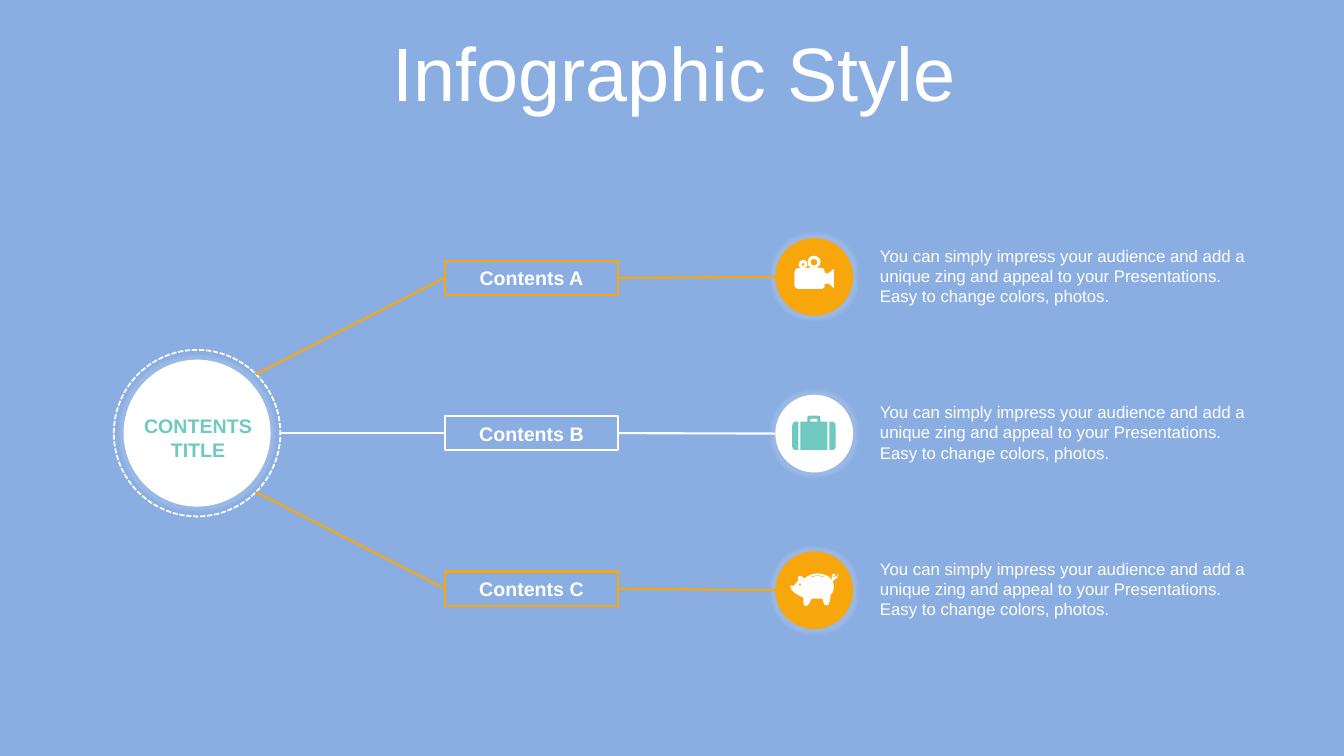
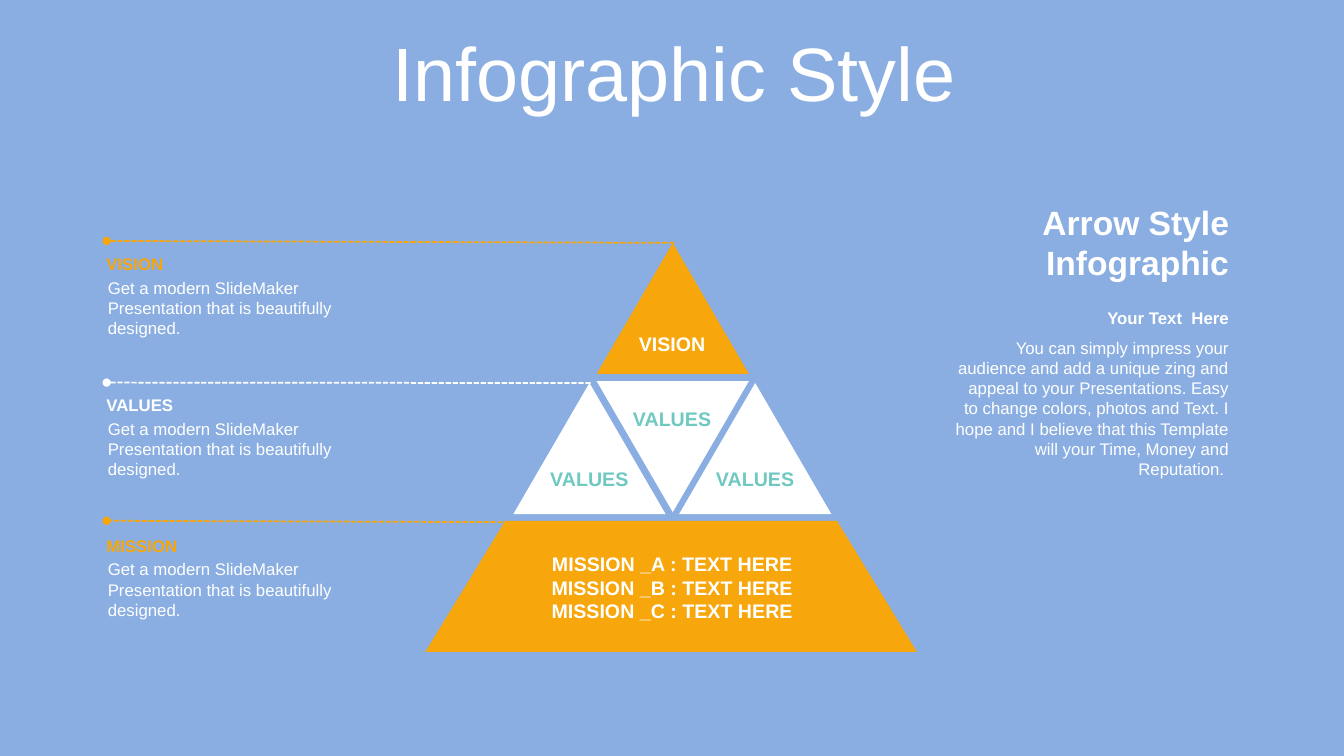
"""Build two infographic slides: a contents tree and a mission pyramid."""
from lxml import etree
from pptx import Presentation
from pptx import util as u
from pptx.dml.color import RGBColor
from pptx.enum import dml, shapes, text
from pptx.oxml import ns

COLORS = {"sky": "8AAEE2", "white": "FFFFFF", "amber": "F7A60B", "teal": "6FC9C1"}
FONT = "Arial"
LEFT, CENTER, RIGHT = text.PP_ALIGN.LEFT, text.PP_ALIGN.CENTER, text.PP_ALIGN.RIGHT
OVAL = shapes.MSO_SHAPE.OVAL
TRIANGLE = shapes.MSO_SHAPE.ISOSCELES_TRIANGLE
ICON_UNIT = 0.72

CAMERA = (
    "M 9 7 C 8 7 7 8 7 9 C 7 10 8 10 9 10 C 9 10 10 10 10 9 C 10 8 9 7 9 7 "
    "M 19 3 C 17 3 16 5 16 6 C 16 8 17 10 19 10 C 21 10 23 8 23 6 C 23 5 21 3 19 3 "
    "M 19 0 C 23 0 26 3 26 6 C 26 9 24 11 22 12 L 27 12 C 29 12 30 14 30 16 L 30 17 "
    "L 32 17 C 32 17 33 18 33 18 L 39 13 L 39 32 L 33 27 C 33 28 32 28 32 28 L 30 28 "
    "L 30 30 C 30 31 29 33 27 33 L 4 33 C 2 33 0 31 0 30 L 0 16 C 0 14 2 12 4 12 "
    "L 7 12 C 5 12 4 10 4 9 C 4 6 6 4 9 4 C 11 4 13 6 13 9 C 13 10 12 12 10 12 "
    "L 16 12 C 14 11 13 9 13 6 C 13 3 16 0 19 0"
)
SUITCASE = (
    "M 37 6 L 40 6 C 42 6 43 8 43 10 L 43 31 C 43 33 42 34 40 34 L 37 34 "
    "M 3 6 L 6 6 L 6 34 L 3 34 C 1 34 0 33 0 31 L 0 10 C 0 8 1 6 3 6 "
    "M 19 3 C 18 3 18 3 18 4 L 18 6 L 25 6 L 25 4 C 25 3 25 3 24 3 "
    "M 17 0 L 26 0 C 27 0 28 1 28 2 L 28 6 L 35 6 L 35 34 L 8 34 L 8 6 L 15 6 "
    "L 15 2 C 15 1 16 0 17 0"
)
PIG = (
    "M 9 10 C 9 10 8 10 8 11 C 8 12 9 12 9 12 C 10 12 11 12 11 11 C 11 10 10 10 9 10 "
    "M 43 2 C 42 2 42 3 42 3 C 42 4 42 4 43 4 C 43 4 44 4 44 3 C 44 3 43 2 43 2 "
    "M 27 2 C 25 2 23 2 21 3 L 21 4 C 25 2 29 2 33 4 L 33 3 C 31 2 29 2 27 2 "
    "M 27 0 C 32 0 38 2 40 5 L 41 6 C 41 6 41 6 42 5 C 41 5 41 4 41 3 C 41 2 42 1 43 0 "
    "C 44 0 45 2 45 3 C 45 4 45 4 45 4 C 45 4 46 4 47 0 C 48 4 46 6 44 6 "
    "C 43 7 43 7 42 8 C 42 8 42 8 42 8 L 43 11 C 44 15 42 20 40 21 C 40 26 39 28 38 31 "
    "C 37 32 34 32 34 31 C 33 29 32 27 32 25 C 28 25 24 25 21 25 C 20 28 19 30 17 32 "
    "L 14 32 C 13 32 13 27 13 24 C 9 22 0 19 0 12 C 0 12 3 12 4 12 C 5 10 6 9 8 7 "
    "C 8 5 7 3 8 3 C 11 1 12 4 14 5 C 17 2 23 0 27 0"
)


def rgb(name):
    """Return the named colour."""
    return RGBColor.from_string(COLORS[name])


def points(*values):
    """Convert point values to lengths."""
    return [u.Pt(value) for value in values]


def write(box, lines, size, color, bold=False, align=LEFT, inset=(7.2, 3.6),
          anchor=text.MSO_ANCHOR.TOP, spacing=None):
    """Fill a shape's text frame with one paragraph per line."""
    frame = box.text_frame
    frame.word_wrap = True
    frame.vertical_anchor = anchor
    frame.margin_left = frame.margin_right = u.Pt(inset[0])
    frame.margin_top = frame.margin_bottom = u.Pt(inset[1])
    for index, line in enumerate(lines):
        para = frame.add_paragraph() if index else frame.paragraphs[0]
        para.alignment = align
        if spacing:
            para.line_spacing = spacing
        span = para.add_run()
        span.text = line
        span.font.name = FONT
        span.font.size = u.Pt(size)
        span.font.bold = bold
        span.font.color.rgb = rgb(color)


def add_text(page, frame, lines, size, color, **style):
    """Add a text box."""
    box = page.shapes.add_textbox(*points(*frame))
    write(box, lines, size, color, **style)


def paint(shape, fill=None, line=None, width=1.5):
    """Set a shape's fill and outline and drop its shadow."""
    shape.shadow.inherit = False
    if fill:
        shape.fill.solid()
        shape.fill.fore_color.rgb = rgb(fill)
    else:
        shape.fill.background()
    if line:
        shape.line.color.rgb = rgb(line)
        shape.line.width = u.Pt(width)
    else:
        shape.line.fill.background()


def add_shape(page, kind, frame, **look):
    """Add a preset shape."""
    shape = page.shapes.add_shape(kind, *points(*frame))
    paint(shape, **look)
    return shape


def add_glow(shape):
    """Give a shape a soft white halo."""
    effects = shape._element.spPr.find(ns.qn("a:effectLst"))
    glow = etree.SubElement(effects, ns.qn("a:glow"), rad=str(u.Pt(5)))
    tint = etree.SubElement(glow, ns.qn("a:srgbClr"), val=COLORS["white"])
    etree.SubElement(tint, ns.qn("a:alpha"), val="14000")


def add_line(page, start, end, color, width=1.5, dotted=False):
    """Add a straight line, dashed with an oval end if dotted."""
    line = page.shapes.add_connector(shapes.MSO_CONNECTOR.STRAIGHT, *points(*start, *end))
    line.line.color.rgb = rgb(color)
    line.line.width = u.Pt(width)
    if dotted:
        line.line.dash_style = dml.MSO_LINE.SQUARE_DOT
        outline = line.line._get_or_add_ln()
        etree.SubElement(outline, ns.qn("a:tailEnd"), type="oval")
    etree.SubElement(line._element.spPr, ns.qn("a:effectLst"))
    return line


def read_contour(contour):
    """Split one contour into commands, each a list of nodes."""
    commands = []
    for command in contour.replace("C", "L").split("L"):
        numbers = points(*(float(number) * ICON_UNIT for number in command.split()))
        commands.append(list(zip(numbers[::2], numbers[1::2])))
    return commands


def bend(shape, commands):
    """Merge the line segments of each three-node command into a curve."""
    segments = iter(list(shape._element.iter(ns.qn("a:lnTo"))))
    for nodes in commands:
        group = [next(segments) for node in nodes]
        if len(group) == 3:
            curve = etree.Element(ns.qn("a:cubicBezTo"))
            group[0].addprevious(curve)
            for segment in group:
                curve.append(segment[0])
                segment.getparent().remove(segment)


def add_icon(page, drawing, left, top, color):
    """Add an icon as one freeform with curves."""
    contours = [read_contour(contour) for contour in drawing.split("M")[1:]]
    builder = page.shapes.build_freeform(*contours[0][0][0], scale=1.0)
    for index, (start, *commands) in enumerate(contours):
        if index:
            builder.move_to(*start[0])
        builder.add_line_segments([node for nodes in commands for node in nodes], close=True)
    icon = builder.convert_to_shape(*points(left, top))
    bend(icon, [nodes for contour in contours for nodes in contour[1:]])
    paint(icon, fill=color)


def add_page(deck, title):
    """Add a blank slide with its title."""
    page = deck.slides.add_slide(deck.slide_layouts[6])
    add_text(page, (25.8, 21.6, 911.5, 66.2), [title], 54, "white", align=CENTER,
             anchor=text.MSO_ANCHOR.MIDDLE, spacing=0.9)
    return page


def add_branch(page, index, label, color, spoke, icon):
    """Add one row of the tree: spoke, label, badge and description."""
    drawing, icon_left, icon_top, icon_color = icon
    box_top, badge_top = 186.2 + 111 * index, 170 + 111.9 * index
    box = add_shape(page, shapes.MSO_SHAPE.RECTANGLE, (317.7, box_top, 124, 24.4), line=color)
    write(box, [label], 14, "white", bold=True, align=CENTER,
          anchor=text.MSO_ANCHOR.MIDDLE)
    badge = add_shape(page, OVAL, (553.8, badge_top, 55.6, 55.6), fill=color)
    add_glow(badge)
    middle = box_top + 12.2
    add_line(page, (317.7, middle), spoke, color).begin_connect(box, 1)
    add_line(page, (553.8, badge_top + 27.8), (441.7, middle), color).end_connect(box, 3)
    add_icon(page, drawing, icon_left, icon_top, icon_color)
    add_text(page, (621.5, badge_top + 1.7, 285.8, 51),
             ["You can simply impress your audience and add a unique zing and appeal to "
              "your Presentations. Easy to change colors, photos."], 12, "white")


def add_tree_slide(deck):
    """Add the contents tree."""
    page = add_page(deck, "Infographic Style")
    hub_x, hub_y, ring, disc = 140.8, 309.4, 59.5, 52.5
    diagonal = ring * 0.5 ** 0.5
    hub = add_shape(page, OVAL, (hub_x - disc, hub_y - disc, 2 * disc, 2 * disc), fill="white")
    add_glow(hub)
    border = add_shape(page, OVAL, (hub_x - ring, hub_y - ring, 2 * ring, 2 * ring),
                       line="white", width=1.25)
    border.line.dash_style = dml.MSO_LINE.SQUARE_DOT
    add_text(page, (90.4, 292.1, 102.2, 41), ["CONTENTS", "TITLE"], 14, "teal",
             bold=True, align=CENTER)
    branches = [
        ("Contents A", "amber", (hub_x + diagonal, hub_y - diagonal),
         (CAMERA, 567.5, 182.7, "white")),
        ("Contents B", "white", (hub_x + ring, hub_y),
         (SUITCASE, 565.9, 296.9, "teal")),
        ("Contents C", "amber", (hub_x + diagonal, hub_y + diagonal),
         (PIG, 564.5, 409.6, "white")),
    ]
    for index, branch in enumerate(branches):
        add_branch(page, index, *branch)


def add_pyramid(page):
    """Add the pyramid and the labels on it."""
    width, height = 108.7, 93.6
    for left, top, color, turn in ((426.2, 173.5, "amber", 0), (426.2, 272.2, "white", 180),
                                   (485.1, 273.6, "white", 0), (366.7, 273.6, "white", 0)):
        piece = add_shape(page, TRIANGLE, (left, top, width, height), fill=color)
        piece.rotation = turn
    base = add_shape(page, shapes.MSO_SHAPE.TRAPEZOID, (303.8, 372.1, 351.2, height),
                     fill="amber")
    base.adjustments[0] = 0.61
    missions = [f"MISSION _{letter} : TEXT HERE" for letter in "ABC"]
    for left, top, wide, lines, color in (
            (440.5, 236.8, 79.2, ["VISION"], "white"),
            (440.5, 290.8, 79.2, ["VALUES"], "teal"),
            (499.8, 333.7, 79.2, ["VALUES"], "teal"),
            (381.4, 333.7, 79.2, ["VALUES"], "teal"),
            (366.8, 394.2, 226.8, missions, "white")):
        add_text(page, (left, top, wide, 17 * len(lines)), lines, 14, color,
                 bold=True, align=CENTER, inset=(0, 0))


def add_pyramid_slide(deck):
    """Add the mission pyramid with its notes."""
    page = add_page(deck, "Infographic Style")
    add_pyramid(page)
    notes = [("VISION", "amber", (481.7, 173.5), 172.1),
             ("VALUES", "white", (421.9, 273.6), 273.3),
             ("MISSION", "amber", (364.3, 373), 372)]
    for index, (heading, color, start, end_y) in enumerate(notes):
        top = 181.5 + 100.6 * index
        add_line(page, start, (76.2, end_y), color, width=1.25, dotted=True)
        add_text(page, (76, top, 205.2, 14.4), [heading], 12, color, bold=True, inset=(0, 0))
        add_text(page, (77, top + 16.7, 170, 44),
                 ["Get a modern SlideMaker Presentation that is beautifully designed."],
                 12, "white", inset=(0, 0))
    add_text(page, (686.3, 140.7, 198.7, 65.5), ["Arrow Style Infographic"], 24, "white",
             bold=True, align=RIGHT)
    add_text(page, (671.8, 216.3, 213.1, 21.6), ["Your Text  Here"], 12, "white",
             bold=True, align=RIGHT)
    add_text(page, (671.8, 237.6, 213.1, 108.7),
             ["You can simply impress your audience and add a unique zing and appeal to your "
              "Presentations. Easy to change colors, photos and Text. I hope and I believe "
              "that this Template will your Time, Money and Reputation. "],
             12, "white", align=RIGHT)


def main():
    """Build and save the deck."""
    deck = Presentation()
    deck.slide_width, deck.slide_height = points(960, 540)
    backdrop = deck.slide_master.background.fill
    backdrop.solid()
    backdrop.fore_color.rgb = rgb("sky")
    add_tree_slide(deck)
    add_pyramid_slide(deck)
    deck.save("out.pptx")


if __name__ == "__main__":
    main()
